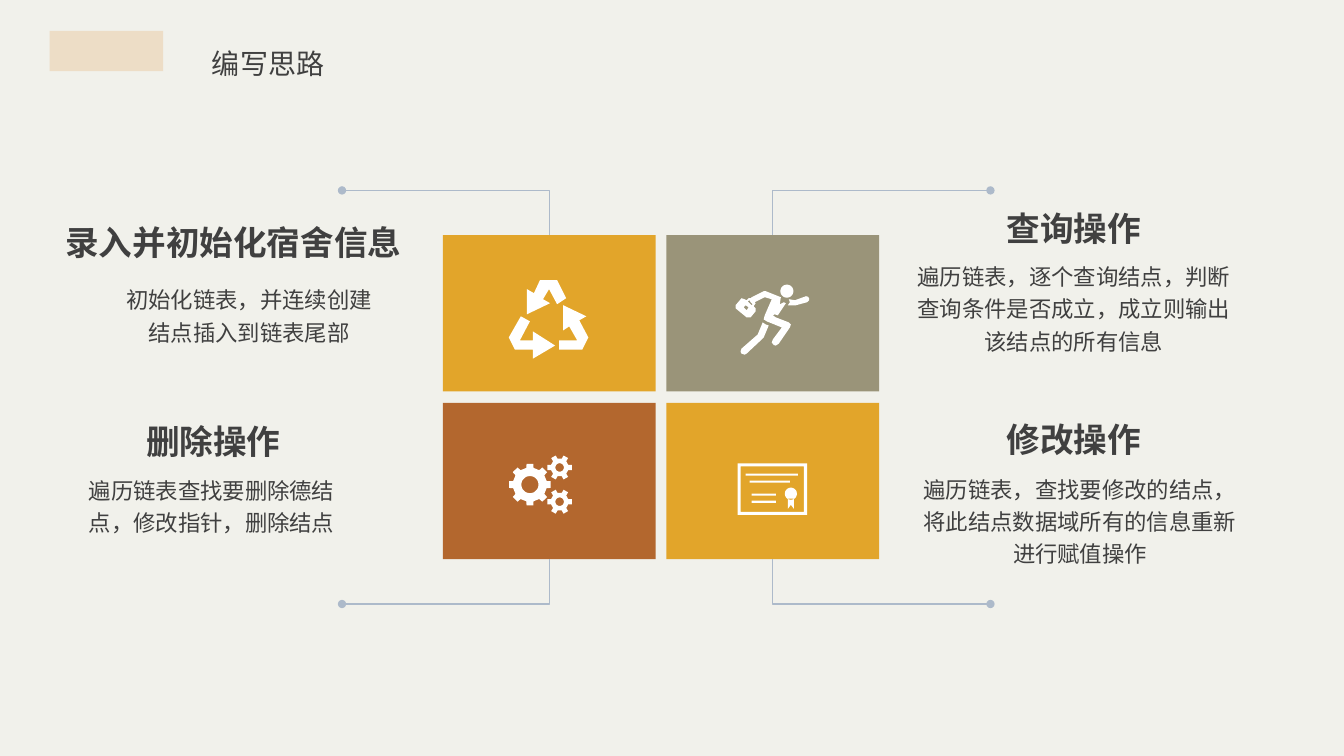
from math import cos, sin, pi
from lxml.etree import SubElement
from pptx import Presentation
from pptx.dml.color import RGBColor as RGB
from pptx.enum.shapes import MSO_CONNECTOR as Link, MSO_SHAPE as Kind
from pptx.enum.text import MSO_ANCHOR as Anchor, MSO_AUTO_SIZE as Fit, PP_ALIGN as Align
from pptx.oxml.ns import qn
from pptx.util import Pt

FONT = "Noto Sans CJK SC"
HUE = {"back": "F1F1EB", "tag": "EDDDC6", "gold": "E2A52A", "rust": "B3672E",
       "sage": "9A9479", "line": "ADBACA", "icon": "FFFFFF", "text": "404040"}


def star(x, y, tip, root, teeth):
    step = 2 * pi / teeth
    turns = [(root, -0.27), (tip, -0.2), (tip, 0.2), (root, 0.27)]
    return [(x + r * cos((i + t) * step), y + r * sin((i + t) * step))
            for i in range(teeth) for r, t in turns]


def draw(loops):
    pen = None
    for loop in loops:
        dots = [(round(x * 10), round(y * 10)) for x, y in loop]
        if pen is None:
            pen = slide.shapes.build_freeform(*dots[0], scale=Pt(0.072))
        else:
            pen.move_to(*dots[0])
        pen.add_line_segments(dots[1:], close=True)
    icon = pen.convert_to_shape()
    icon.shadow.inherit = False
    icon.fill.solid()
    icon.fill.fore_color.rgb = RGB.from_string(HUE["icon"])
    icon.line.fill.background()


deck = Presentation()
deck.slide_width, deck.slide_height = Pt(960), Pt(540)
slide = deck.slides.add_slide(deck.slide_layouts[5])
slide.background.fill.solid()
slide.background.fill.fore_color.rgb = RGB.from_string(HUE["back"])

title = slide.shapes.title
title.left, title.top, title.width, title.height = Pt(65.5), Pt(17.3), Pt(252), Pt(39.6)
title.text_frame.vertical_anchor = Anchor.TOP
texts = [(title.text_frame, "编写思路", 20, False, 1.5)]

blocks = [(35.5, 22, 81, 28.8, "tag")]
blocks += [(316.3 + 159.7 * col, 168 + 119.8 * row, 152, 111.6, hue)
           for row, col, hue in [(0, 0, "gold"), (0, 1, "sage"), (1, 0, "rust"), (1, 1, "gold")]]
for x, y, wide, high, hue in blocks:
    block = slide.shapes.add_shape(Kind.RECTANGLE, Pt(x), Pt(y), Pt(wide), Pt(high))
    block.shadow.inherit = False
    block.fill.solid()
    block.fill.fore_color.rgb = RGB.from_string(HUE[hue])
    block.line.fill.background()

for far, near in [(244.3, 392.3), (707.5, 551.8)]:
    for end, edge in [(136, 168), (431.5, 399.4)]:
        link = slide.shapes.add_connector(Link.ELBOW, Pt(far), Pt(end), Pt(near), Pt(edge))
        link.line.width = Pt(0.75)
        link.line.color.rgb = RGB.from_string(HUE["line"])
        form = link._element.spPr
        form.find(qn("a:prstGeom")).set("prst", "bentConnector2")
        SubElement(form.find(qn("a:ln")), qn("a:headEnd"), type="oval")
        SubElement(form, qn("a:effectLst"))

draw([
    [(553, 278), (536, 278), (530, 291), (523, 287), (523, 312), (546, 301),
     (539, 297), (545, 287), (553, 302), (562, 296)],
    [(529, 338), (516, 338), (526, 319), (517, 314), (505, 335), (511, 347),
     (529, 347), (529, 356), (551, 343), (529, 329)],
    [(575, 318), (582, 314), (559, 303), (559, 328), (565, 324), (573, 338),
     (555, 338), (555, 347), (578, 347), (584, 335)],
])

bars = [(732, 460, 801, 511), (735, 463, 798, 508), (740, 470, 792, 472),
        (744, 477, 784, 479), (746, 490, 770, 492), (746, 497, 770, 499)]
draw([[(l, t), (r, t), (r, b), (l, b)] for l, t, r, b in bars]
     + [star(785, 490, 6, 6, 12), [(782, 495), (788, 495), (788, 505), (785, 501), (782, 505)]])

gears = [(526, 481, 21, 17, 8, 8.5), (555.5, 464, 12.5, 9, 6, 4.2), (555.5, 498, 12.5, 9, 6, 4.2)]
draw([loop for x, y, tip, root, teeth, hole in gears
      for loop in (star(x, y, tip, root, teeth), star(x, y, hole, hole, 12))])

draw([
    [(803, 296), (802, 294.5), (800, 294), (789, 298), (783, 297), (784, 300), (782, 303),
     (790, 303), (801, 300), (803, 298)],
    [(783, 320), (770, 315), (767, 313), (769, 312), (772, 313), (780, 301), (778, 300),
     (774, 302), (775, 295), (770, 293), (760, 289), (758, 289), (746, 295), (745, 296),
     (743, 296), (741, 298), (739, 297), (736, 296), (730, 303), (730, 306), (741, 315),
     (745, 315), (750, 309), (750, 306), (748, 304), (750, 301), (749, 300), (759, 295),
     (766, 297), (759, 313), (758, 317), (761, 319), (776, 325), (767, 337), (766, 340),
     (768, 342.5), (770, 343), (773, 341), (784, 325), (785, 322)],
    [(747, 302), (746, 303), (742, 299), (744, 298), (745, 300)],
    [(741, 308), (738, 305), (740, 303), (743, 305)],
    [(757, 320), (752, 332), (736, 346), (735, 349), (736, 351), (739, 352), (741, 351),
     (757, 336), (758, 335), (763, 323), (760, 322)],
    star(781, 289, 6.5, 6.5, 12),
])

notes = [
    (88.6, 154, 156.2, "录入并初始化宿舍信息", 88.6, 200.9, 178.6, "初始化链表，并连续创建结点插入到链表尾部"),
    (74.2, 296.6, 156.2, "删除操作", 58.3, 337, 185.8, "遍历链表查找要删除德结点，修改指针，删除结点"),
    (689, 144, 156.2, "查询操作", 648.7, 184.3, 236.9,
     "遍历链表，逐个查询结点，判断查询条件是否成立，成立则输出该结点的所有信息"),
    (689, 295.2, 156.2, "修改操作", 657.4, 336.2, 228.2,
     "遍历链表，查找要修改的结点，将此结点数据域所有的信息重新进行赋值操作"),
]
for note in notes:
    group = slide.shapes.add_group_shape()
    for (x, y, wide, words), head in [(note[:4], True), (note[4:], False)]:
        box = group.shapes.add_textbox(Pt(x), Pt(y), Pt(wide), Pt(33 if head else 23))
        frame = box.text_frame
        frame.margin_left = frame.margin_right = frame.margin_top = frame.margin_bottom = 0
        frame.word_wrap = not head
        frame.vertical_anchor = Anchor.BOTTOM if head else Anchor.TOP
        texts.append((frame, words, 24 if head else 16, head, 1 if head else 1.2))

for frame, words, size, bold, space in texts:
    frame.auto_size = Fit.NONE
    para = frame.paragraphs[0]
    para.alignment, para.line_spacing = Align.CENTER, space
    run = para.add_run()
    run.text = words
    run.font.size, run.font.bold, run.font.name = Pt(size), bold, FONT
    run.font.color.rgb = RGB.from_string(HUE["text"])
    SubElement(run._r.get_or_add_rPr(), qn("a:ea"), typeface=FONT)

deck.save("out.pptx")
